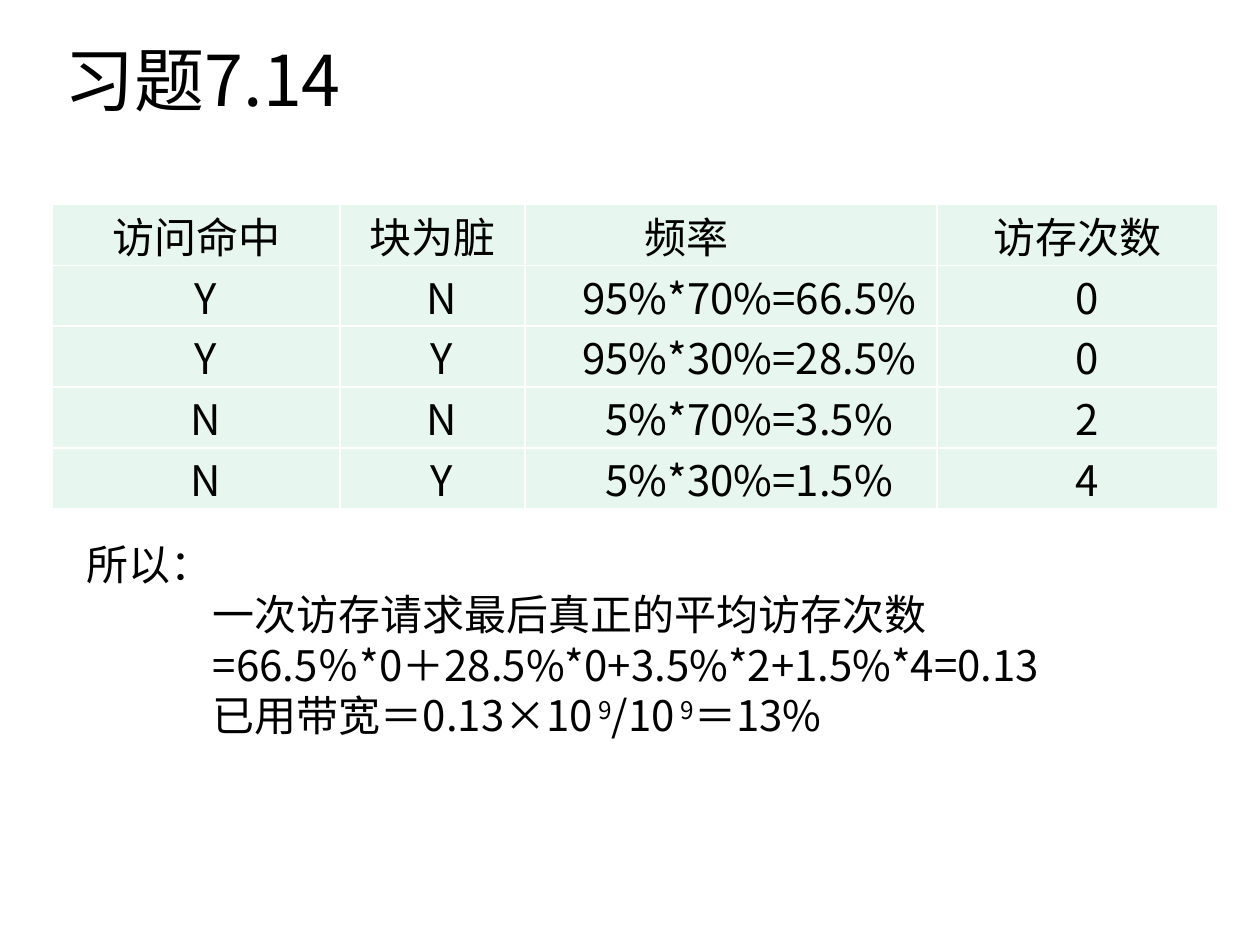
from lxml.etree import SubElement
from pptx import Presentation
from pptx.dml.color import RGBColor
from pptx.enum.text import MSO_ANCHOR, PP_ALIGN
from pptx.oxml.ns import qn
from pptx.util import Inches, Pt

BLACK = RGBColor(0x00, 0x00, 0x00)
WHITE = RGBColor(0xFF, 0xFF, 0xFF)
MINT = RGBColor(0xE7, 0xF6, 0xEF)
TEXT_FONT = "Noto Sans CJK SC"
TABLE_FONT = "Noto Sans CJK KR"

LEFT, WIDTH = 4.17, 92.5
COLUMN_WIDTHS = [22.8, 14.7, 32.7, 22.3]
ROW_HEIGHT = 6.44
FREQUENCY_COLUMN = 2
HEADINGS = ["访问命中", "块为脏", "频率", "访存次数"]
CASES = [
    ["Y", "N", "95%*70%=66.5%", "0"],
    ["Y", "Y", "95%*30%=28.5%", "0"],
    ["N", "N", "5%*70%=3.5%", "2"],
    ["N", "Y", "5%*30%=1.5%", "4"],
]
# Each line is a list of spans; every second span is raised.
CONCLUSION = [
    ["所以："],
    ["\t一次访存请求最后真正的平均访存次数"],
    ["\t=66.5％*0＋28.5%*0+3.5%*2+1.5%*4=0.13"],
    ["\t已用带宽＝0.13×10", " 9", "/10", " 9", "＝13%"],
]


def write(para, text, font=TEXT_FONT, size=24, color=BLACK, raised=False):
    span = para.add_run()
    span.text = text
    span.font.name = font
    span.font.size = Pt(size)
    span.font.color.rgb = color
    properties = span.font._element
    SubElement(properties, qn("a:ea")).set("typeface", font)
    if raised:
        properties.set("baseline", "30000")


def add_tab_stop(para, position):
    stops = SubElement(para._p.get_or_add_pPr(), qn("a:tabLst"))
    SubElement(stops, qn("a:tab"), {"pos": str(position), "algn": "l"})


def outline(cell, color, points):
    properties = cell._tc.get_or_add_tcPr()
    for position, side in enumerate(("lnL", "lnR", "lnT", "lnB")):
        line = properties.makeelement(qn(f"a:{side}"), {"w": str(Pt(points))})
        fill = SubElement(line, qn("a:solidFill"))
        SubElement(fill, qn("a:srgbClr")).set("val", str(color))
        properties.insert(position, line)


class Page:
    """The current slide; lengths are percentages of its width and height."""

    def __init__(self, deck):
        self.slide = deck.slides.add_slide(deck.slide_layouts[6])
        self.width, self.height = deck.slide_width, deck.slide_height

    def across(self, share):
        return round(self.width * share / 100)

    def down(self, share):
        return round(self.height * share / 100)

    def area(self, left, top, width, height):
        return self.across(left), self.down(top), self.across(width), self.down(height)

    def text(self, area, lines, size=24, anchor=MSO_ANCHOR.TOP, spacing=None, tab=None):
        frame = self.slide.shapes.add_textbox(*self.area(*area)).text_frame
        frame.word_wrap = True
        frame.vertical_anchor = anchor
        for number, spans in enumerate(lines):
            para = frame.add_paragraph() if number else frame.paragraphs[0]
            para.line_spacing = spacing
            if tab:
                add_tab_stop(para, self.across(tab))
            for position, text in enumerate(spans):
                write(para, text, size=size, raised=position % 2 == 1)

    def table(self, top, rows):
        area = self.area(LEFT, top, WIDTH, ROW_HEIGHT * len(rows))
        grid = self.slide.shapes.add_table(len(rows), len(rows[0]), *area).table
        for column, share in zip(grid.columns, COLUMN_WIDTHS):
            column.width = self.across(share)
        for r, row in enumerate(rows):
            grid.rows[r].height = self.down(ROW_HEIGHT)
            for c, text in enumerate(row):
                self.fill_cell(grid.cell(r, c), text, r == 0, c == FREQUENCY_COLUMN)

    def fill_cell(self, cell, text, heading, frequency):
        cell.margin_left = cell.margin_right = Inches(0.07)
        cell.margin_top = cell.margin_bottom = 0
        cell.fill.solid()
        cell.fill.fore_color.rgb = MINT
        outline(cell, WHITE, 1)
        para = cell.text_frame.paragraphs[0]
        para.alignment = PP_ALIGN.LEFT if heading and frequency else PP_ALIGN.CENTER
        if heading:
            indent = 0.88 if frequency else 0
        else:
            indent = 0.29 if frequency else 0.15
        para._p.get_or_add_pPr().set("indent", str(Inches(indent)))
        write(para, text, font=TABLE_FONT)


def main():
    deck = Presentation()
    deck.slide_width, deck.slide_height = Inches(10), Inches(7.5)
    page = Page(deck)
    page.text((LEFT, 0, WIDTH, 16.67), [["习题7.14"]], size=40, anchor=MSO_ANCHOR.MIDDLE)
    page.table(21.65, [HEADINGS] + CASES)
    page.text((5.9, 56.27, 89.8, 22.93), CONCLUSION, spacing=Pt(28.9), tab=10)
    deck.save("out.pptx")


if __name__ == "__main__":
    main()
